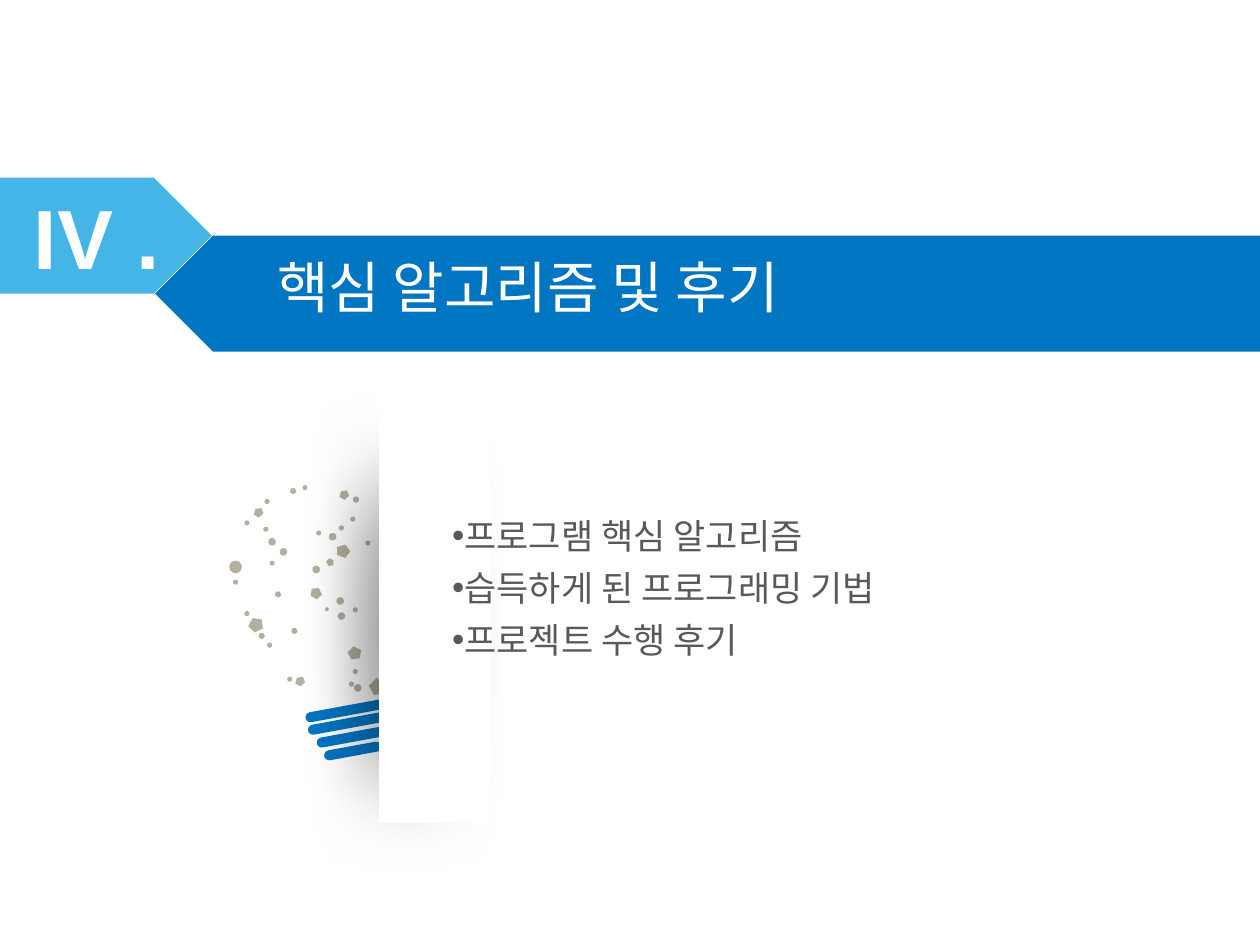
from lxml.etree import SubElement
from pptx import Presentation
from pptx.dml.color import RGBColor
from pptx.enum.shapes import MSO_SHAPE
from pptx.enum.text import MSO_ANCHOR, MSO_AUTO_SIZE, PP_ALIGN
from pptx.oxml.ns import qn
from pptx.util import Inches, Pt

SKY = RGBColor(0x45, 0xB4, 0xE7)
BLUE = RGBColor(0x00, 0x75, 0xC2)
PALE = RGBColor(0x8E, 0xB4, 0xE3)
STONE = RGBColor(0xB3, 0xB0, 0xA1)
GRAY = RGBColor(0x59, 0x59, 0x59)
WHITE = RGBColor(0xFF, 0xFF, 0xFF)
KOREAN = "Noto Sans CJK KR"

BASE_BARS = [(2.42, 5.6, 0.66), (2.44, 5.7, 0.65), (2.51, 5.81, 0.56), (2.57, 5.92, 0.46)]
DOTS = {
    0.03: [(2.58, 4.82)],
    0.04: [(2.14, 4.45), (1.85, 4.6), (2.51, 4.21), (2.77, 5.41), (2.8, 5.31),
           (2.09, 4.18), (2.4, 3.85), (2.1, 3.96), (1.94, 4.13), (1.94, 4.85),
           (2.12, 5.1), (2.28, 5.37), (2.78, 4.1), (3.01, 4.55), (2.69, 4.17),
           (2.8, 4.82), (2.9, 4.29)],
    0.05: [(2.8, 3.94)],
    0.06: [(2.68, 4.86), (2.22, 4.35), (2.13, 4.27), (2.61, 4.23), (2.81, 5.43),
           (2.67, 4.74), (2.48, 4.49)],
    0.1: [(1.82, 4.45)],
}
PENTAGONS = [
    (2.93, 5.38, 0.14, 0.13, 349.6), (1.97, 4.9, 0.12, 0.11, 334),
    (2.59, 4.43, 0.06, 0.06, 349.6), (2.76, 5.13, 0.11, 0.1, 349.6),
    (2.34, 5.37, 0.08, 0.07, 318.2), (2.01, 4.03, 0.08, 0.07, 318.2),
    (2.3, 3.87, 0.05, 0.05, 318.2), (2.69, 3.89, 0.08, 0.07, 318.2),
    (2.67, 4.32, 0.11, 0.1, 18.8), (2.05, 5.02, 0.05, 0.05, 318.2),
    (2.46, 4.66, 0.09, 0.09, 318.2), (2.18, 4.69, 0.05, 0.05, 318.2),
    (2.31, 4.98, 0.05, 0.05, 318.2),
]
TOPICS = ["프로그램 핵심 알고리즘", "습득하게 된 프로그래밍 기법", "프로젝트 수행 후기"]


def add_solid(shapes, kind, x, y, w, h, color, rotation=0):
    """Add a filled preset shape without line or shadow."""
    sp = shapes.add_shape(kind, Inches(x), Inches(y), Inches(w), Inches(h))
    sp.shadow.inherit = False
    sp.fill.solid()
    sp.fill.fore_color.rgb = color
    sp.line.fill.background()
    sp.rotation = rotation
    return sp


def add_soft_shadow(sp):
    """Give a shape a wide blurred black shadow."""
    effects = sp.element.spPr.find(qn("a:effectLst"))
    shadow = SubElement(effects, qn("a:outerShdw"), blurRad=str(Pt(48)), dist=str(Pt(3)),
                        dir=str(44 * 60000), algn="ctr", rotWithShape="0")
    SubElement(shadow, qn("a:srgbClr"), val="000000")


def add_run(p, text, size, color, font, bold=False):
    """Add a formatted run that uses the Korean font for Hangul."""
    r = p.add_run()
    r.text = text
    r.font.size = Pt(size)
    r.font.name = font
    r.font.bold = bold
    r.font.color.rgb = color
    SubElement(r.font._element, qn("a:ea"), typeface=KOREAN)


def add_number(s, text):
    """Add the section number."""
    tb = s.shapes.add_textbox(Inches(0.17), Inches(1.42), Inches(1.28), Inches(0.91))
    tb.text_frame.auto_size = MSO_AUTO_SIZE.SHAPE_TO_FIT_TEXT
    add_run(tb.text_frame.paragraphs[0], text, 48, WHITE, "Arial", True)


def set_title(s, text):
    """Place the title in front of the banner."""
    title = s.shapes.title
    title.left, title.top = Inches(2.1), Inches(1.9)
    title.width, title.height = Inches(4.69), Inches(0.64)
    tf = title.text_frame
    tf.word_wrap = True
    tf.auto_size = MSO_AUTO_SIZE.NONE
    tf.vertical_anchor = MSO_ANCHOR.TOP
    p = tf.paragraphs[0]
    p.alignment = PP_ALIGN.LEFT
    p.line_spacing = Pt(42)
    p.space_before = Pt(0)
    add_run(p, text, 32, WHITE, KOREAN)
    title.element.getparent().append(title.element)


def add_bulb(s):
    """Draw the speckled half bulb and the panel that covers its right side."""
    shapes = s.shapes.add_group_shape().shapes
    for x, y, w in BASE_BARS:
        bar = add_solid(shapes, MSO_SHAPE.ROUNDED_RECTANGLE, x, y, w, 0.08, BLUE, 349.6)
        bar.adjustments[0] = 0.5
    for size, places in DOTS.items():
        for x, y in places:
            add_solid(shapes, MSO_SHAPE.OVAL, x, y, size, size, STONE)
    for x, y, w, h, rotation in PENTAGONS:
        add_solid(shapes, MSO_SHAPE.REGULAR_PENTAGON, x, y, w, h, STONE, rotation)
    add_soft_shadow(add_solid(shapes, MSO_SHAPE.OVAL, 3.02, 3.69, 0.33, 2.59, PALE))
    add_solid(shapes, MSO_SHAPE.RECTANGLE, 3.01, 3.13, 0.89, 3.4, WHITE)


def add_topics(s, topics):
    """Add the bulleted list of topics."""
    tb = s.shapes.add_textbox(Inches(3.29), Inches(4.04), Inches(4.41), Inches(1.28))
    tf = tb.text_frame
    tf.word_wrap = True
    for i, topic in enumerate(topics):
        p = tf.add_paragraph() if i else tf.paragraphs[0]
        p.line_spacing = Pt(23.7)
        p.space_after = Pt(6)
        pPr = p._p.get_or_add_pPr()
        pPr.set("marL", "0")
        pPr.set("indent", str(Inches(0.2)))
        SubElement(pPr, qn("a:buFont"), typeface="Arial")
        SubElement(pPr, qn("a:buChar"), char="•")
        add_run(p, topic, 20, GRAY, "Arial")


def main():
    """Build the section slide and save it."""
    prs = Presentation()
    prs.slide_width, prs.slide_height = Inches(10), Inches(7.5)
    s = prs.slides.add_slide(prs.slide_layouts[5])
    add_solid(s.shapes, MSO_SHAPE.PENTAGON, -0.01, 1.41, 1.69, 0.92, SKY)
    add_solid(s.shapes, MSO_SHAPE.PENTAGON, 1.23, 1.87, 8.77, 0.92, BLUE, 180)
    add_number(s, "IV .")
    set_title(s, "핵심 알고리즘 및 후기")
    add_bulb(s)
    add_topics(s, TOPICS)
    prs.save("out.pptx")


if __name__ == "__main__":
    main()
